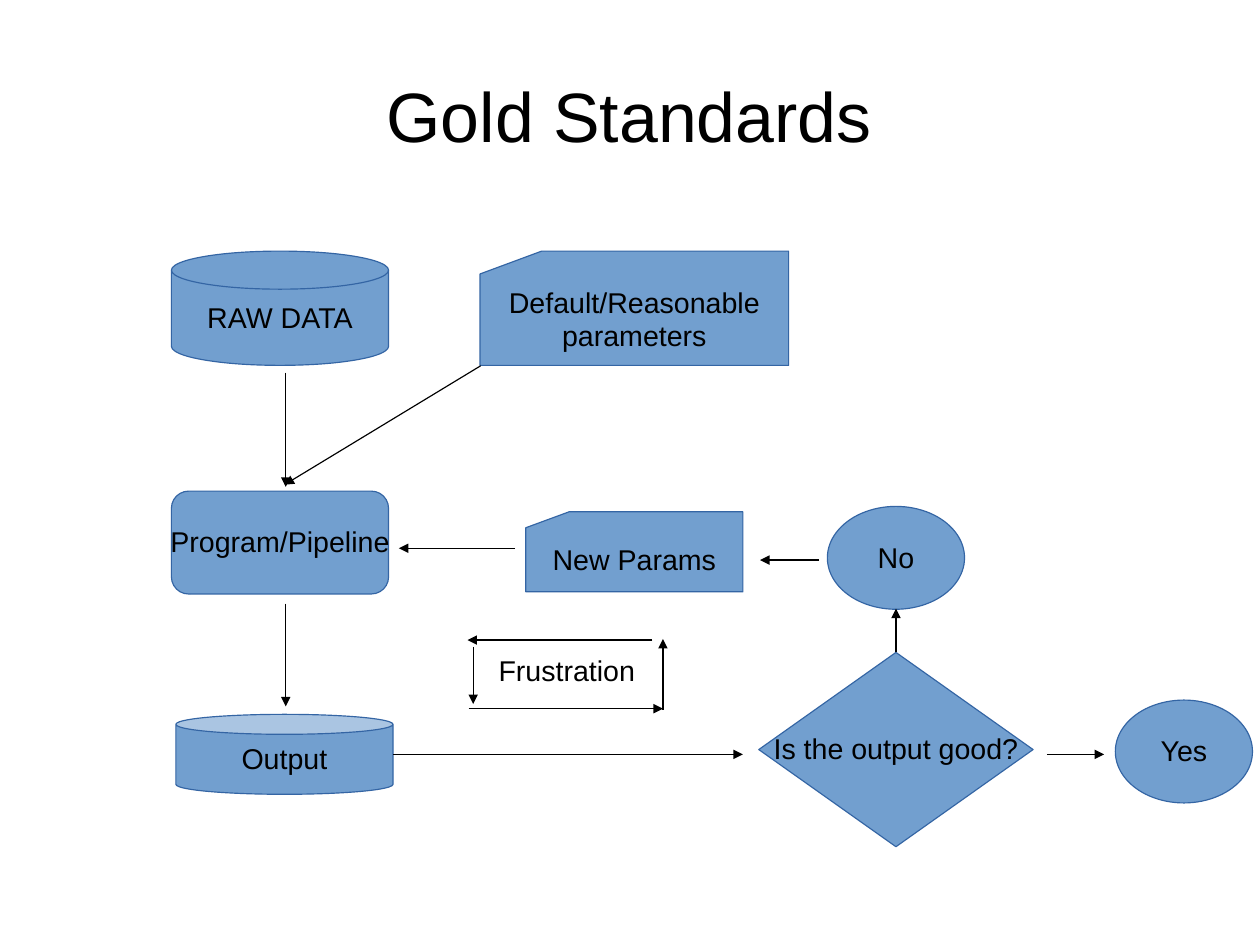
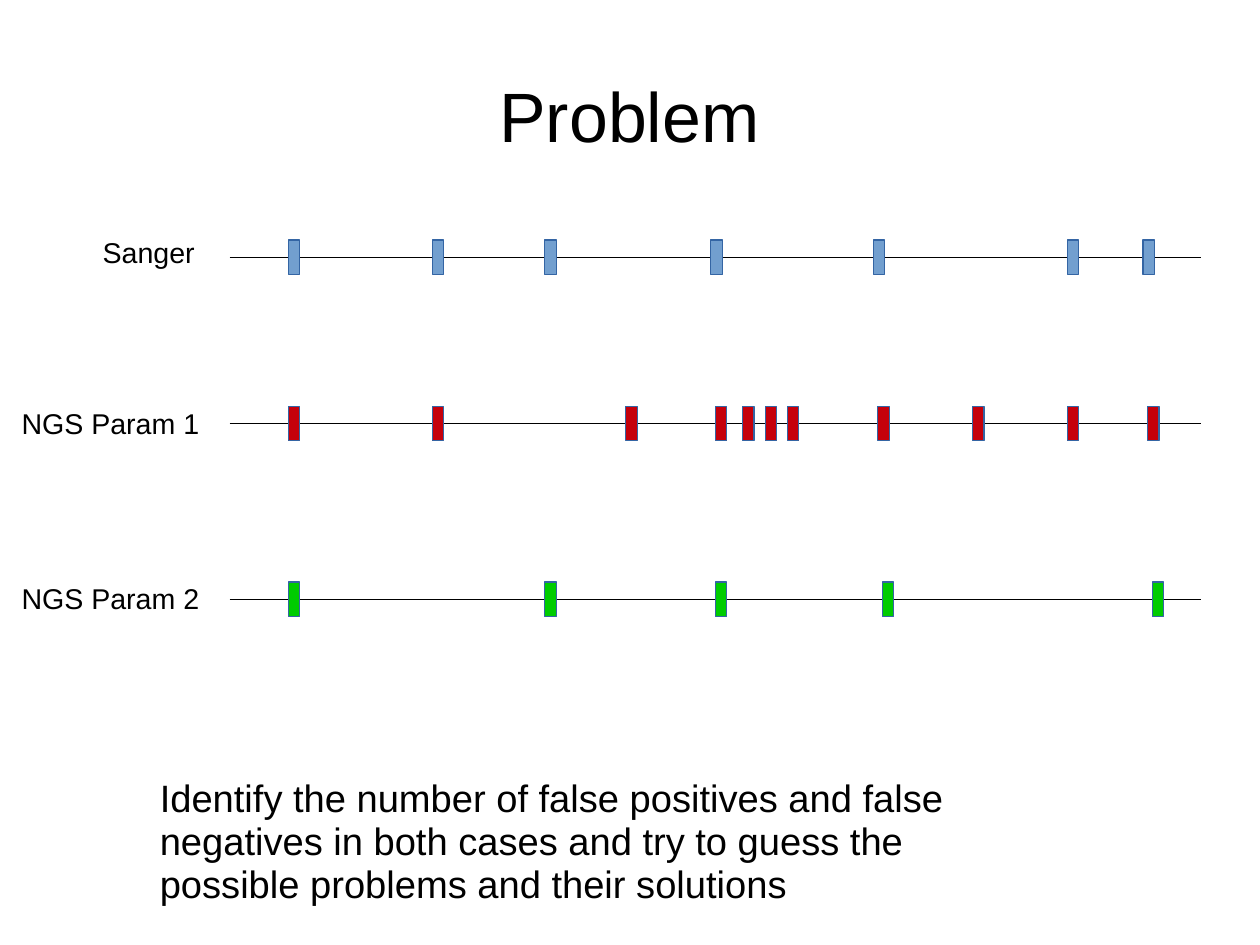
from lxml import etree
from pptx import Presentation
from pptx.dml.color import RGBColor
from pptx.enum.shapes import MSO_CONNECTOR, MSO_SHAPE as SHAPE
from pptx.enum.text import MSO_ANCHOR as ANCHOR, PP_ALIGN as ALIGN
from pptx.oxml.ns import qn
from pptx.util import Pt

SLIDE_WIDTH, SLIDE_HEIGHT = 793.7, 595.28
COLORS = {"text": "000000", "blue": "729FCF", "edge": "3465A4",
          "red": "C5000B", "green": "00CC00"}
FONT = "Arial"
LINE_WIDTH = 0.75
INSETS = (7.2, 4.3, 7.2, 3.6)  # left, top, right, bottom

# Flow chart: text, preset, (left, top, width, height), wrap
STEPS = [
    ("RAW DATA", SHAPE.FLOWCHART_MAGNETIC_DISK, (108, 158.2, 136.8, 72), False),
    ("Program/Pipeline", SHAPE.ROUNDED_RECTANGLE, (108, 309.4, 136.8, 64.8), False),
    ("Output", SHAPE.CAN, (110.8, 450, 136.8, 50.4), False),
    ("Is the output good?", SHAPE.DIAMOND, (478, 411, 172.8, 122.4), False),
    ("Yes", SHAPE.OVAL, (702.6, 441, 86.4, 64.8), False),
    ("No", SHAPE.OVAL, (521.2, 319, 86.4, 64.8), False),
    ("Default/Reasonable parameters", SHAPE.FLOWCHART_CARD, (302.4, 158.2, 194.4, 72), True),
    ("New Params", SHAPE.FLOWCHART_CARD, (331.2, 322.4, 136.8, 50.4), True),
]
# Arrows: start x, start y, end x, end y
FLOW_ARROWS = [
    (180, 234.7, 180, 306.7),          # raw data to program
    (180, 380.2, 180, 445),            # program to output
    (247.8, 475.2, 468, 475.2),        # output to question
    (659.5, 475.2, 695.5, 475.2),      # question to yes
    (516, 352.8, 478.8, 352.8),        # no to new parameters
    (302.8, 230.4, 179.3, 305.3),      # default parameters to program
    (324.5, 345.4, 251.3, 345.4),      # new parameters to program
]
FRUSTRATION_LOOP = [
    (295.2, 446.4, 417.6, 446.4),
    (417.6, 447.1, 417.6, 402.5),
    (411, 403.2, 294.5, 403.2),
    (298.1, 407.5, 298.1, 443.5),
]

# Sequence tracks: label, label box, line y, colour, left edge of each variant
TRACKS = [
    ("Sanger", (57.6, 145.6, 80, 27.4), 162, "blue",
     [181.6, 272.2, 343.2, 447.8, 550.1, 672.2, 720]),
    ("NGS Param 1", (6.5, 253.4, 136, 27.4), 266.9, "red",
     [181.6, 272.2, 394.2, 450.7, 467.8, 482, 496.1, 553, 612.7, 672.2, 722.9]),
    ("NGS Param 2", (6.5, 363.6, 136, 27.4), 377.5, "green",
     [181.6, 343.2, 450.7, 555.8, 725.8]),
]
TRACK_START, TRACK_END = 144.7, 756.5
VARIANT_WIDTH, VARIANT_HEIGHT = 7.2, 21.6
TASK = ("Identify the number of false positives and false negatives in both cases "
        "and try to guess the possible problems and their solutions")


def rgb(name):
    return RGBColor.from_string(COLORS[name])


def put_text(shape, text, size=18, align=ALIGN.LEFT, anchor=ANCHOR.TOP,
             wrap=False, insets=INSETS):
    frame = shape.text_frame
    frame.word_wrap = wrap
    frame.vertical_anchor = anchor
    (frame.margin_left, frame.margin_top,
     frame.margin_right, frame.margin_bottom) = map(Pt, insets)
    paragraph = frame.paragraphs[0]
    paragraph.alignment = align
    paragraph.line_spacing = 0.94
    run = paragraph.add_run()
    run.text = text
    run.font.name = FONT
    run.font.size = Pt(size)
    run.font.color.rgb = rgb("text")


def add_label(slide, text, box, **text_format):
    put_text(slide.shapes.add_textbox(*map(Pt, box)), text, **text_format)


def add_block(slide, preset, box, fill="blue"):
    block = slide.shapes.add_shape(preset, *map(Pt, box))
    block.shadow.inherit = False
    block.fill.solid()
    block.fill.fore_color.rgb = rgb(fill)
    block.line.color.rgb = rgb("edge")
    block.line.width = Pt(LINE_WIDTH)
    return block


def add_line(slide, ends, arrow=False):
    line = slide.shapes.add_connector(MSO_CONNECTOR.STRAIGHT, *map(Pt, ends))
    line.line.color.rgb = rgb("text")
    line.line.width = Pt(LINE_WIDTH)
    properties = line._element.spPr
    if arrow:
        etree.SubElement(properties.find(qn("a:ln")), qn("a:tailEnd"), type="triangle")
    etree.SubElement(properties, qn("a:effectLst"))
    return line


def add_titled_slide(deck, title):
    slide = deck.slides.add_slide(deck.slide_layouts[6])
    add_label(slide, title, (39.6, 23.8, 714, 99.4), size=44, align=ALIGN.CENTER,
              anchor=ANCHOR.MIDDLE, wrap=True, insets=(0, 2.9, 0, 0))
    return slide


def build_gold_standards(deck):
    slide = add_titled_slide(deck, "Gold Standards")
    blocks = {}
    for text, preset, box, wrap in STEPS:
        blocks[text] = add_block(slide, preset, box)
        put_text(blocks[text], text, align=ALIGN.CENTER, anchor=ANCHOR.MIDDLE, wrap=wrap)
    for ends in FLOW_ARROWS + FRUSTRATION_LOOP:
        add_line(slide, ends, arrow=True)
    # The question leads straight up to "No"
    question_to_no = add_line(slide, (564.4, 411, 564.4, 383.4), arrow=True)
    question_to_no.begin_connect(blocks["Is the output good?"], 0)
    add_label(slide, "Frustration", (307, 409, 108, 34.6))


def build_problem(deck):
    slide = add_titled_slide(deck, "Problem")
    for label, label_box, y, color, variants in TRACKS:
        add_line(slide, (TRACK_START, y, TRACK_END, y))
        for left in variants:
            add_block(slide, SHAPE.RECTANGLE,
                      (left, y - VARIANT_HEIGHT / 2, VARIANT_WIDTH, VARIANT_HEIGHT), color)
        add_label(slide, label, label_box)
    add_label(slide, TASK, (93.6, 485, 576, 87.8), size=24, wrap=True,
              insets=(7.2, 5, 7.2, 3.6))


def main():
    deck = Presentation()
    deck.slide_width = Pt(SLIDE_WIDTH)
    deck.slide_height = Pt(SLIDE_HEIGHT)
    build_gold_standards(deck)
    build_problem(deck)
    deck.save("out.pptx")


if __name__ == "__main__":
    main()
